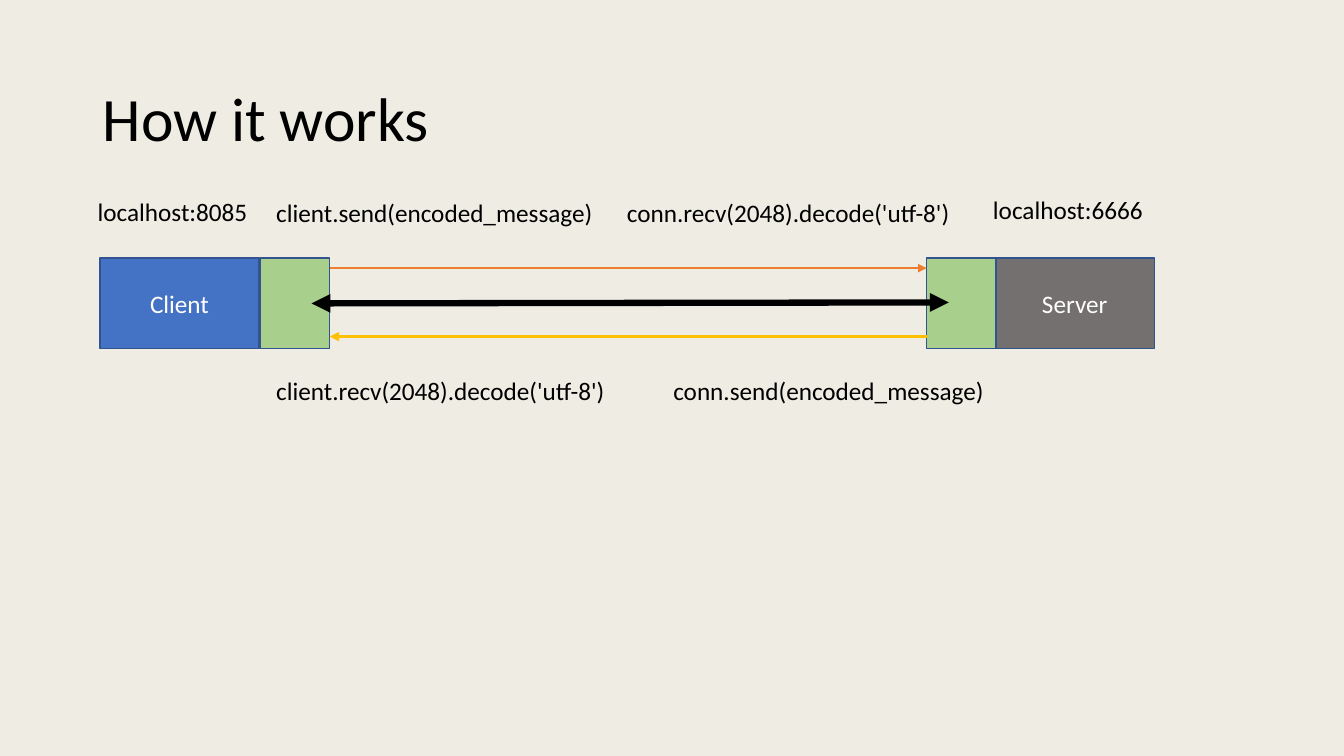
from dataclasses import dataclass

from lxml.etree import SubElement
from pptx import Presentation
from pptx.dml.color import RGBColor
from pptx.enum.shapes import MSO_CONNECTOR as CONN, MSO_SHAPE as SHAPE
from pptx.enum.text import MSO_ANCHOR as ANCHOR, PP_ALIGN as ALIGN
from pptx.oxml.ns import qn
from pptx.shapes.autoshape import Shape
from pptx.slide import Slide
from pptx.util import Inches, Pt

COLORS = {
    "background": "EFEDE3",
    "text": "000000",
    "box_text": "FFFFFF",
    "outline": "31538F",
    "client": "4472C4",
    "server": "757070",
    "socket": "A8D08C",
    "connection": "000000",
    "request": "ED7D31",
    "response": "FFC000",
}
FONT = "Calibri"
BOX_TOP, BOX_HEIGHT = 2.56, 0.9
HOST_WIDTH, SOCKET_WIDTH = 1.58, 0.69
CLIENT_EDGE, SERVER_EDGE = 3.27, 9.19
REQUEST_Y, RESPONSE_Y = 2.66, 3.34
CALLS_ABOVE, CALLS_BELOW = 1.91, 3.67


@dataclass
class Box:
    left: float
    width: float
    color: str
    text: str = ""


@dataclass
class Arrow:
    start: tuple[float, float]
    end: tuple[float, float]
    color: str
    weight: float
    both_ends: bool = False


@dataclass
class Label:
    text: str
    left: float
    top: float
    width: float
    height: float = 0.4
    pad: float = 0.05


BOXES = [
    Box(9.87, HOST_WIDTH, "server", "Server"),
    Box(0.99, HOST_WIDTH, "client", "Client"),
    Box(2.58, SOCKET_WIDTH, "socket"),
    Box(SERVER_EDGE, SOCKET_WIDTH, "socket"),
]
ARROWS = [
    Arrow((3.09, 3.01), (9.41, 3), "connection", 4.5, both_ends=True),
    Arrow((CLIENT_EDGE, REQUEST_Y), (SERVER_EDGE, REQUEST_Y), "request", 1.5),
    Arrow((SERVER_EDGE, RESPONSE_Y), (CLIENT_EDGE, RESPONSE_Y), "response", 2.25),
]
LABELS = [
    Label("localhost:6666", 9.75, 1.88, 2.15),
    Label("conn.send(encoded_message)", 6.58, CALLS_BELOW, 3.94),
    Label("client.recv(2048).decode('utf-8')", 2.64, CALLS_BELOW, 3.59),
    Label("client.send(encoded_message)", 2.64, CALLS_ABOVE, 3.45),
    Label("conn.recv(2048).decode('utf-8')", 6.12, CALLS_ABOVE, 3.59),
    Label("localhost:8085", 0.87, 1.85, 1.71, height=0.5, pad=0.1),
]


def rgb(name: str) -> RGBColor:
    return RGBColor.from_string(COLORS[name])


def write(sp: Shape, text: str, *, size: float = 18, color: str = "text",
          align: ALIGN = ALIGN.LEFT, anchor: ANCHOR = ANCHOR.TOP,
          pad: float = 0.05, spacing: float = 1.0) -> None:
    tf = sp.text_frame
    tf.word_wrap = True
    tf.vertical_anchor = anchor
    tf.margin_left = tf.margin_right = Inches(0.1)
    tf.margin_top = tf.margin_bottom = Inches(pad)
    p = tf.paragraphs[0]
    p.alignment = align
    p.line_spacing = spacing
    r = p.add_run()
    r.text = text
    r.font.name = FONT
    r.font.size = Pt(size)
    r.font.color.rgb = rgb(color)


def add_box(slide: Slide, box: Box) -> None:
    sp = slide.shapes.add_shape(SHAPE.RECTANGLE, Inches(box.left), Inches(BOX_TOP),
                                Inches(box.width), Inches(BOX_HEIGHT))
    sp.shadow.inherit = False
    sp.fill.solid()
    sp.fill.fore_color.rgb = rgb(box.color)
    sp.line.color.rgb = rgb("outline")
    sp.line.width = Pt(1)
    if box.text:
        write(sp, box.text, color="box_text", align=ALIGN.CENTER, anchor=ANCHOR.MIDDLE)


def add_arrow(slide: Slide, arrow: Arrow) -> None:
    ends = [Inches(v) for v in (*arrow.start, *arrow.end)]
    cxn = slide.shapes.add_connector(CONN.STRAIGHT, *ends)
    cxn.line.color.rgb = rgb(arrow.color)
    cxn.line.width = Pt(arrow.weight)
    ln = cxn.line._get_or_add_ln()
    for tag in ("a:headEnd", "a:tailEnd") if arrow.both_ends else ("a:tailEnd",):
        SubElement(ln, qn(tag), type="triangle")
    SubElement(cxn._element.spPr, qn("a:effectLst"))


def add_label(slide: Slide, label: Label, **fmt) -> None:
    sp = slide.shapes.add_textbox(Inches(label.left), Inches(label.top),
                                  Inches(label.width), Inches(label.height))
    write(sp, label.text, pad=label.pad, **fmt)


def main() -> None:
    prs = Presentation()
    prs.slide_width, prs.slide_height = Inches(13.33), Inches(7.5)
    slide = prs.slides.add_slide(prs.slide_layouts[6])
    slide.background.fill.solid()
    slide.background.fill.fore_color.rgb = rgb("background")

    title = Label("How it works", 0.92, 0.48, 11.5, height=1.45)
    add_label(slide, title, size=44, anchor=ANCHOR.MIDDLE, spacing=0.9)
    for box in BOXES:
        add_box(slide, box)
    for arrow in ARROWS:
        add_arrow(slide, arrow)
    for label in LABELS:
        add_label(slide, label)
    prs.save("out.pptx")


if __name__ == "__main__":
    main()
